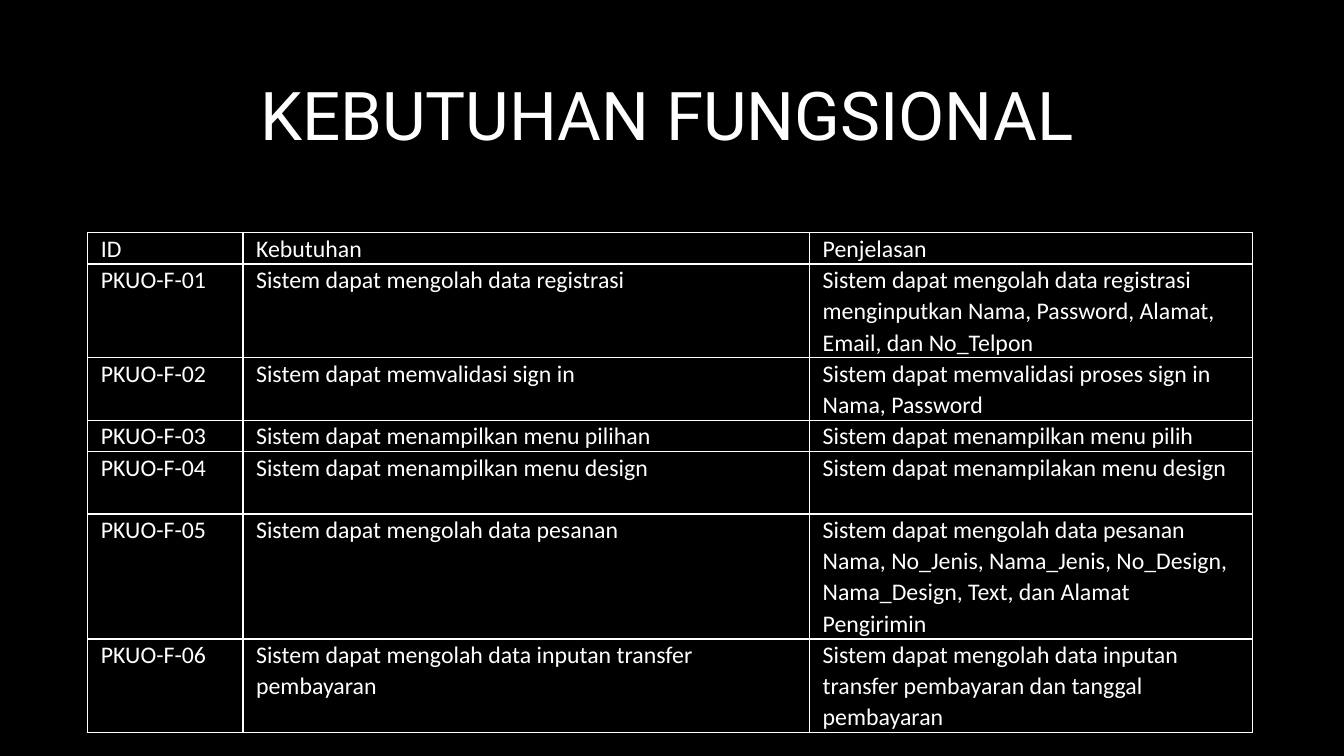
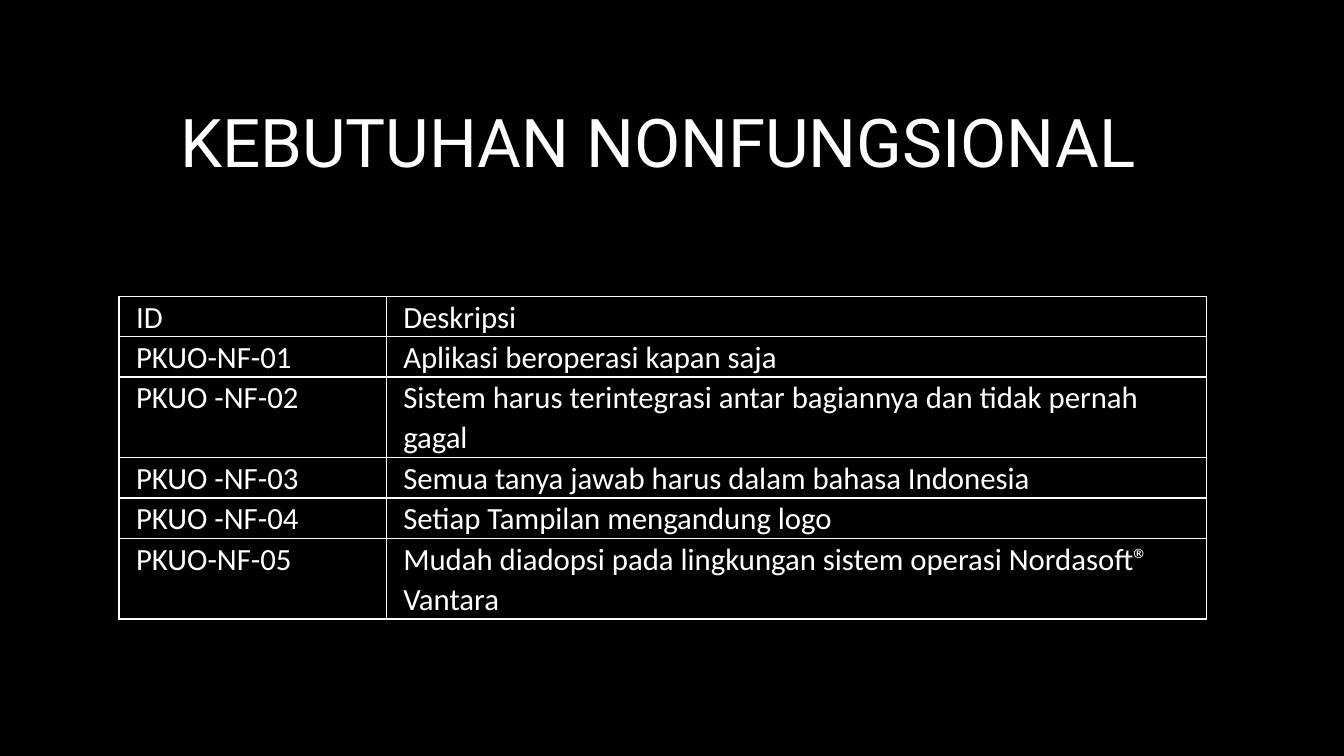
from lxml.etree import SubElement
from pptx import Presentation
from pptx.dml.color import RGBColor
from pptx.enum.text import MSO_ANCHOR, PP_ALIGN
from pptx.oxml.ns import qn
from pptx.util import Inches, Pt

COLORS = {"background": "000000", "text": "FFFFFF", "border": "FFFFFF"}
TITLE_FONT = "Roboto"
BODY_FONT = "Calibri"
TITLE_ONLY = 5

FUNCTIONAL_ROWS = [
    ("ID", "Kebutuhan", "Penjelasan"),
    ("PKUO-F-01", "Sistem dapat mengolah data registrasi",
     "Sistem dapat mengolah data registrasi menginputkan Nama, Password, "
     "Alamat, Email, dan No_Telpon"),
    ("PKUO-F-02", "Sistem dapat memvalidasi sign in",
     "Sistem dapat memvalidasi proses sign in Nama, Password"),
    ("PKUO-F-03", "Sistem dapat menampilkan menu pilihan",
     "Sistem dapat menampilkan menu pilih"),
    ("PKUO-F-04", "Sistem dapat menampilkan menu design",
     "Sistem dapat menampilakan menu design"),
    ("PKUO-F-05", "Sistem dapat mengolah data pesanan",
     "Sistem dapat mengolah data pesanan Nama, No_Jenis, Nama_Jenis, "
     "No_Design, Nama_Design, Text, dan Alamat Pengirimin"),
    ("PKUO-F-06", "Sistem dapat mengolah data inputan transfer pembayaran",
     "Sistem dapat mengolah data inputan transfer pembayaran dan tanggal "
     "pembayaran"),
]

NONFUNCTIONAL_ROWS = [
    ("ID", "Deskripsi"),
    ("PKUO-NF-01", "Aplikasi beroperasi kapan saja"),
    ("PKUO -NF-02",
     "Sistem harus terintegrasi antar bagiannya dan tidak pernah gagal"),
    ("PKUO -NF-03", "Semua tanya jawab harus dalam bahasa Indonesia"),
    ("PKUO -NF-04", "Setiap Tampilan mengandung logo"),
    ("PKUO-NF-05",
     "Mudah diadopsi pada lingkungan sistem operasi Nordasoft® Vantara"),
]


def write_text(frame, text, *, font, size, color=COLORS["text"],
               align=PP_ALIGN.LEFT, anchor=MSO_ANCHOR.TOP, line_spacing=None):
    frame.word_wrap = True
    frame.vertical_anchor = anchor
    paragraph = frame.paragraphs[0]
    paragraph.alignment = align
    paragraph.line_spacing = line_spacing
    run = paragraph.add_run()
    run.text = text
    run.font.name = font
    run.font.size = Pt(size)
    run.font.color.rgb = RGBColor.from_string(color)


def draw_borders(cell, color=COLORS["border"], width=1):
    properties = cell._tc.get_or_add_tcPr()
    for index, side in enumerate(("a:lnL", "a:lnR", "a:lnT", "a:lnB")):
        line = SubElement(properties, qn(side), w=str(Pt(width)))
        fill = SubElement(line, qn("a:solidFill"))
        SubElement(fill, qn("a:srgbClr"), val=color)
        properties.insert(index, line)


class Deck:
    def __init__(self):
        self.presentation = Presentation()
        self.presentation.slide_width = Inches(13.33)
        self.presentation.slide_height = Inches(7.5)
        fill = self.presentation.slide_master.background.fill
        fill.solid()
        fill.fore_color.rgb = RGBColor.from_string(COLORS["background"])
        self.slide = None

    def add_slide(self, title, left, top):
        layout = self.presentation.slide_layouts[TITLE_ONLY]
        self.slide = self.presentation.slides.add_slide(layout)
        shape = self.slide.shapes.title
        shape.left, shape.top = Inches(left), Inches(top)
        shape.width, shape.height = Inches(11.08), Inches(1.59)
        write_text(shape.text_frame, title, font=TITLE_FONT, size=48,
                   align=PP_ALIGN.CENTER, anchor=MSO_ANCHOR.MIDDLE)

    def add_table(self, rows, left, top, *, widths, line_height, line_counts,
                  size, margin):
        """Add a bordered table; each row is as tall as its count of text lines."""
        shape = self.slide.shapes.add_table(
            len(rows), len(widths), Inches(left), Inches(top),
            Inches(sum(widths)), Inches(line_height * sum(line_counts)))
        table = shape.table
        table.first_row = table.horz_banding = False
        for column, width in zip(table.columns, widths):
            column.width = Inches(width)
        for row, count, texts in zip(table.rows, line_counts, rows):
            row.height = Inches(line_height * count)
            for cell, text in zip(row.cells, texts):
                cell.margin_left = cell.margin_right = Inches(margin)
                cell.margin_top = cell.margin_bottom = 0
                cell.fill.background()
                draw_borders(cell)
                write_text(cell.text_frame, text, font=BODY_FONT, size=size,
                           line_spacing=1.07)


def main():
    deck = Deck()

    deck.add_slide("KEBUTUHAN FUNGSIONAL ", 1.16, 0.33)
    deck.add_table(FUNCTIONAL_ROWS, 0.87, 2.31, widths=(1.54, 5.62, 4.39),
                   line_height=0.31, line_counts=(1, 3, 2, 1, 2, 4, 3),
                   size=17, margin=0.13)

    deck.add_slide("KEBUTUHAN NONFUNGSIONAL ", 1.07, 0.6)
    deck.add_table(NONFUNCTIONAL_ROWS, 1.18, 2.94, widths=(2.65, 8.14),
                   line_height=0.4, line_counts=(1, 1, 2, 1, 1, 2),
                   size=22, margin=0.17)

    deck.presentation.save("out.pptx")


if __name__ == "__main__":
    main()
